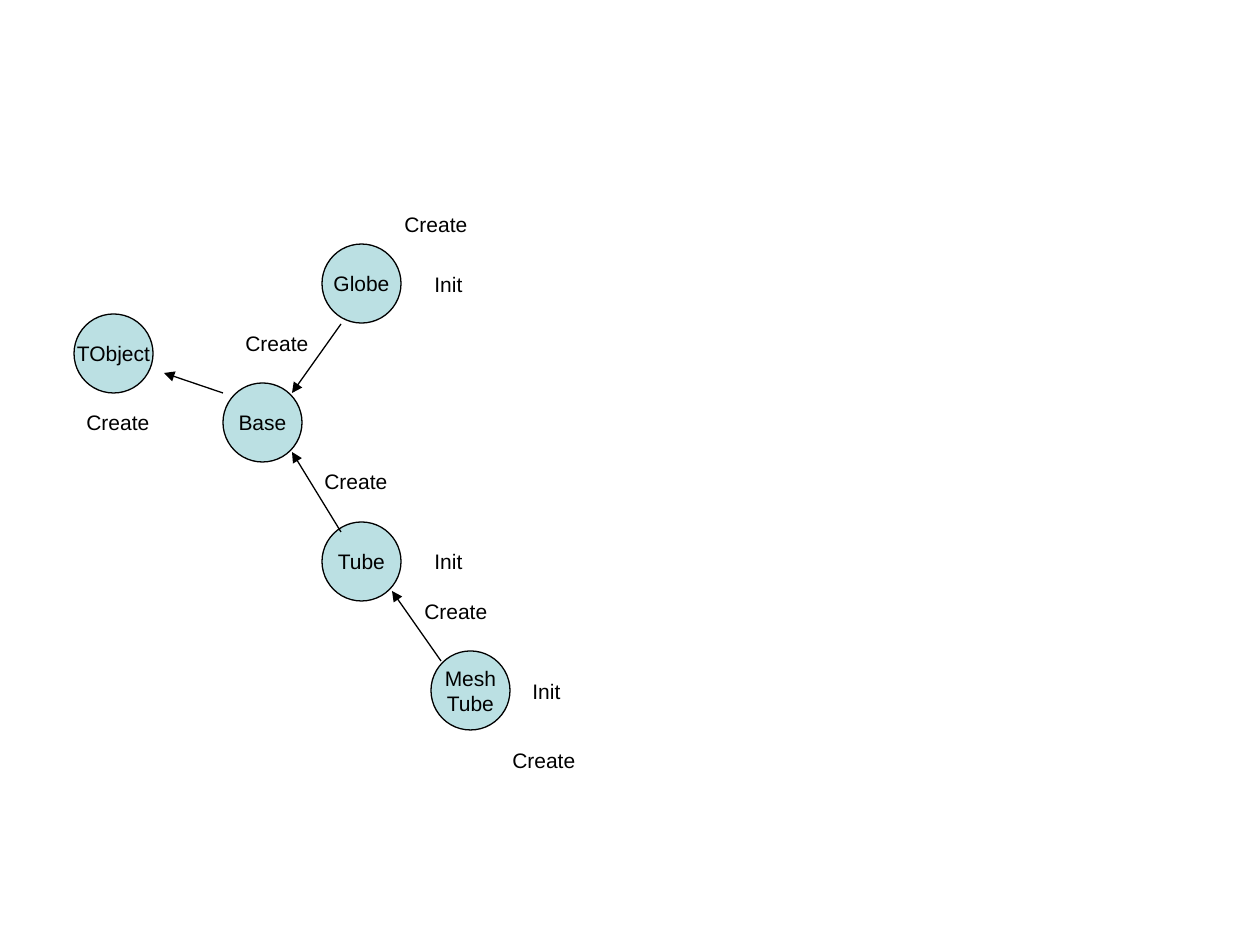
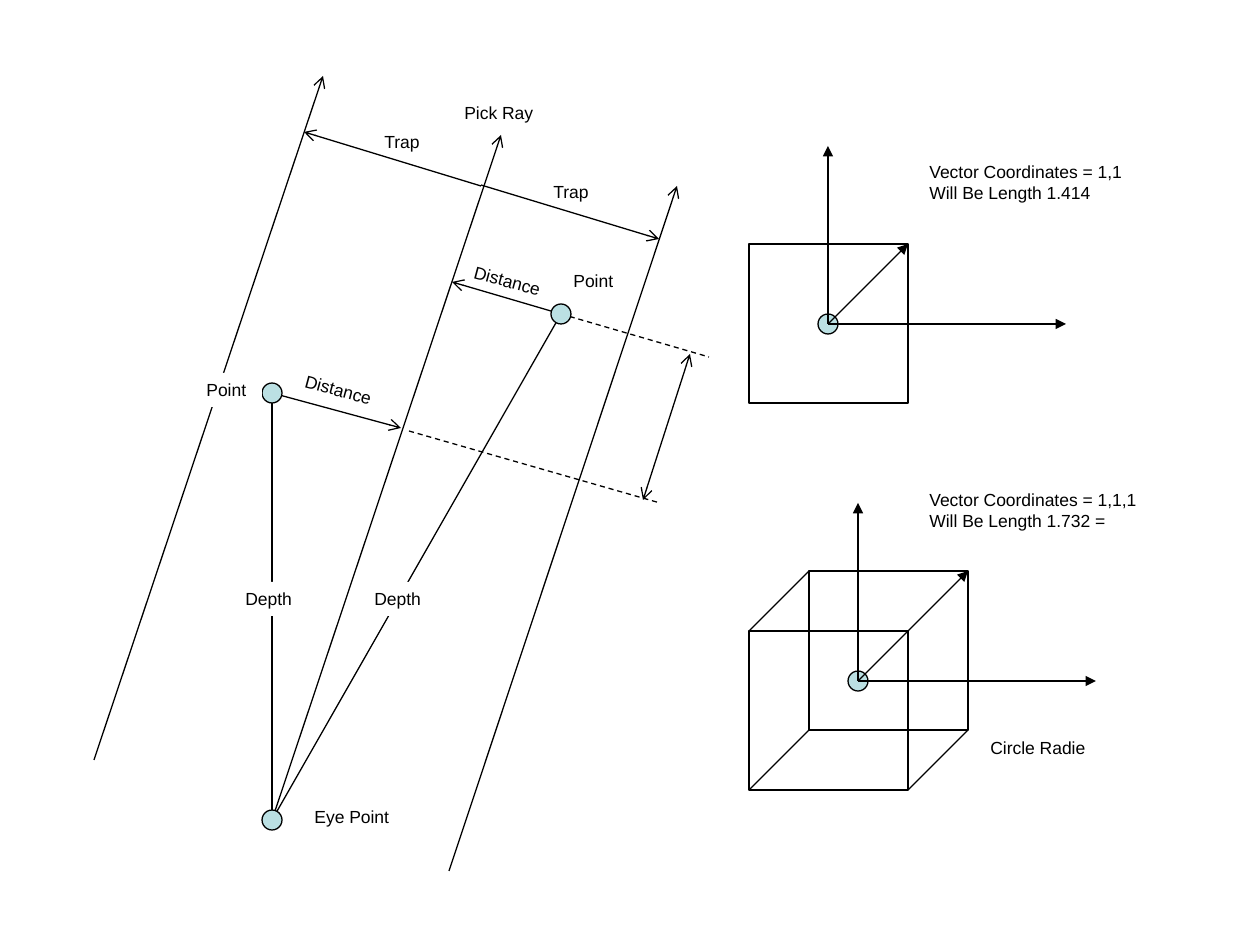
from lxml import etree
from pptx import Presentation
from pptx.dml.color import RGBColor
from pptx.enum.dml import MSO_LINE
from pptx.enum.shapes import MSO_CONNECTOR, MSO_SHAPE
from pptx.enum.text import MSO_ANCHOR, MSO_AUTO_SIZE, PP_ALIGN
from pptx.oxml.ns import qn
from pptx.util import Pt

OVAL, RECT = MSO_SHAPE.OVAL, MSO_SHAPE.RECTANGLE
STRAIGHT, DASH = MSO_CONNECTOR.STRAIGHT, MSO_LINE.DASH
GROW, MIDDLE, CENTER = MSO_AUTO_SIZE.SHAPE_TO_FIT_TEXT, MSO_ANCHOR.MIDDLE, PP_ALIGN.CENTER

SCALE = 914400 / 126  # EMU in one px
BLACK, WHITE, AQUA = "000000", "FFFFFF", "BBE0E3"
FONT = "Arial"
CLASS_SIZE, RAY_SIZE = 12, 10  # text size on each slide
CIRCLE, DOT, SQUARE = 79, 20, 159
CUBE_DEPTH = 60
AXIS_X, AXIS_Y = 238, 178


def px(n):
    return round(n * SCALE)


def color(hex_code):
    return RGBColor.from_string(hex_code)


def set_line(line):
    line.color.rgb = color(BLACK)
    line.width = Pt(0.75)


def write(tf, paragraphs, size, align=None):
    tf.word_wrap = False
    for i, text in enumerate(paragraphs):
        p = tf.paragraphs[0] if i == 0 else tf.add_paragraph()
        p.text = text
        p.alignment = align
        for r in p.runs:
            for name, value in {"name": FONT, "size": Pt(size)}.items():
                setattr(r.font, name, value)
            r.font.color.rgb = color(BLACK)


def outline(s, kind, x, y, side, fill=None):
    """Square-framed shape with a thin black line."""
    sp = s.shapes.add_shape(kind, px(x), px(y), px(side), px(side))
    sp.shadow.inherit = False
    if fill:
        sp.fill.solid()
        sp.fill.fore_color.rgb = color(fill)
    else:
        sp.fill.background()
    set_line(sp.line)
    return sp


def class_circle(s, name, x, y):
    sp = outline(s, OVAL, x, y, CIRCLE, AQUA)
    tf = sp.text_frame
    tf.vertical_anchor = MIDDLE
    write(tf, [name], CLASS_SIZE, CENTER)


def dot(s, center):
    x, y = center
    outline(s, OVAL, x - DOT // 2, y - DOT // 2, DOT, AQUA)


def label(s, paragraphs, x, y, w, h, size, rotation=0, fill=None):
    sp = s.shapes.add_textbox(px(x), px(y), px(w), px(h))
    sp.rotation = rotation
    if fill:
        sp.fill.solid()
        sp.fill.fore_color.rgb = color(fill)
    write(sp.text_frame, paragraphs, size)
    sp.text_frame.auto_size = GROW


def line(s, start, end, tail=None, head=None, dash=None):
    c = s.shapes.add_connector(STRAIGHT, *map(px, start + end))
    set_line(c.line)
    if dash:
        c.line.dash_style = dash
    ln = c.line._get_or_add_ln()
    for tag, arrow in (("a:headEnd", head), ("a:tailEnd", tail)):
        if arrow:
            etree.SubElement(ln, qn(tag), type=arrow)
    etree.SubElement(c._element.spPr, qn("a:effectLst"))


def vector_axes(s, origin, corner):
    """Origin dot, two axes and the vector to a corner."""
    x, y = origin
    dot(s, origin)
    for end in ((x + AXIS_X, y), (x, y - AXIS_Y), corner):
        line(s, origin, end, tail="triangle")


def class_slide(s):
    # Classes
    for name, x, y in (("Base", 223, 383), ("Tube", 322, 522),
                       ("Mesh\nTube", 431, 651), ("Globe", 322, 244),
                       ("TObject", 74, 314)):
        class_circle(s, name, x, y)

    # Inheritance arrows
    for start, end in (((341, 532), (292, 452)), ((441, 661), (392, 591)),
                       ((341, 324), (292, 393)), ((223, 393), (164, 373))):
        line(s, start, end, tail="triangle")

    # Methods
    for text, w, places in (
            ("Create", 91, ((312, 462), (412, 592), (233, 324),
                            (74, 403), (500, 741), (392, 205))),
            ("Init", 56, ((422, 265), (422, 542), (520, 672)))):
        for x, y in places:
            label(s, [text], x, y, w, 38, CLASS_SIZE)


def pick_ray(s):
    eye, near, far = (272, 820), (272, 393), (561, 314)

    # Depth lines, and dashed levels of the two points
    for point in (near, far):
        line(s, eye, point)
    for start, end in ((far, (709, 357)), ((409, 431), (660, 503))):
        line(s, start, end, dash=DASH)

    # Pick ray, distances, bounds and trap widths
    for start, end in ((eye, (501, 135)), (far, (452, 282)), (near, (401, 428)),
                       ((94, 760), (323, 76)), ((449, 871), (677, 186)),
                       ((481, 186), (304, 132)), ((481, 185), (659, 239))):
        line(s, start, end, tail="arrow")
    line(s, (690, 354), (643, 500), tail="arrow", head="arrow")

    for center in (eye, near, far):
        dot(s, center)

    for text, x, y, w, rotation, fill in (
            ("Eye Point", 302, 800, 104, 0, None),
            ("Pick Ray", 452, 96, 98, 0, None),
            ("Depth", 362, 582, 75, 0, WHITE),
            ("Depth", 233, 582, 75, 0, WHITE),
            ("Trap", 541, 175, 64, 0, None),
            ("Trap", 372, 125, 64, 0, None),
            ("Distance", 292, 373, 96, 15, None),
            ("Distance", 461, 264, 96, 15, None),
            ("Point", 194, 373, 68, 0, WHITE),
            ("Point", 561, 264, 68, 0, None)):
        label(s, [text], x, y, w, 34, RAY_SIZE, rotation, fill)


def square_diagram(s):
    x, y = 749, 244
    outline(s, RECT, x, y, SQUARE)
    vector_axes(s, (828, 324), (x + SQUARE, y))
    label(s, ["Vector Coordinates = 1,1", "Will Be Length 1.414"],
          917, 155, 224, 76, RAY_SIZE)


def cube_diagram(s):
    x, y = 749, 631
    back_x, back_y = x + CUBE_DEPTH, y - CUBE_DEPTH
    outline(s, RECT, x, y, SQUARE)
    outline(s, RECT, back_x, back_y, SQUARE)
    for dx, dy in ((0, SQUARE), (0, 0), (SQUARE, SQUARE)):
        line(s, (x + dx, y + dy), (back_x + dx, back_y + dy))
    vector_axes(s, (858, 681), (back_x + SQUARE, back_y))
    label(s, ["Vector Coordinates = 1,1,1", "Will Be Length 1.732 ="],
          917, 483, 238, 76, RAY_SIZE)
    label(s, ["Circle Radie"], 978, 731, 124, 34, RAY_SIZE)


def main():
    prs = Presentation()
    prs.slide_width, prs.slide_height = px(1260), px(945)
    blank = prs.slide_layouts[6]

    class_slide(prs.slides.add_slide(blank))

    s = prs.slides.add_slide(blank)
    pick_ray(s)
    square_diagram(s)
    cube_diagram(s)

    prs.save("out.pptx")


if __name__ == "__main__":
    main()
